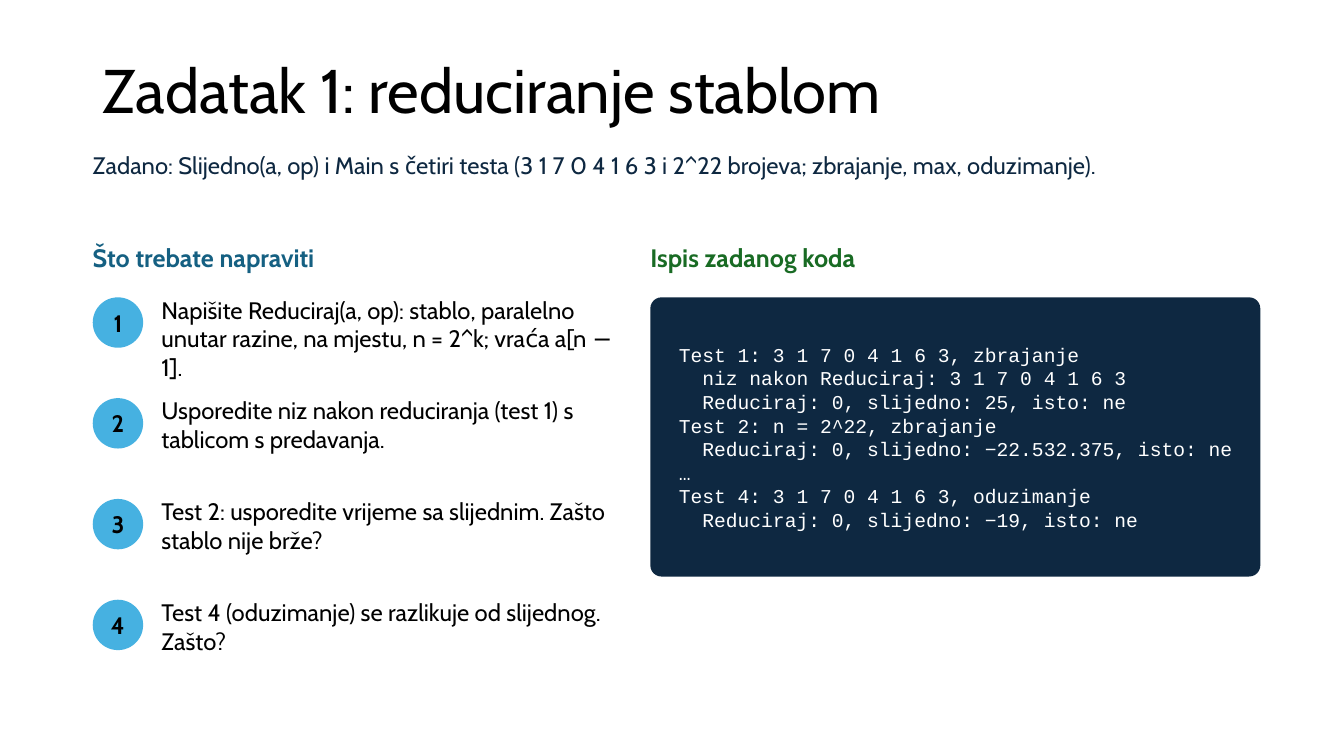
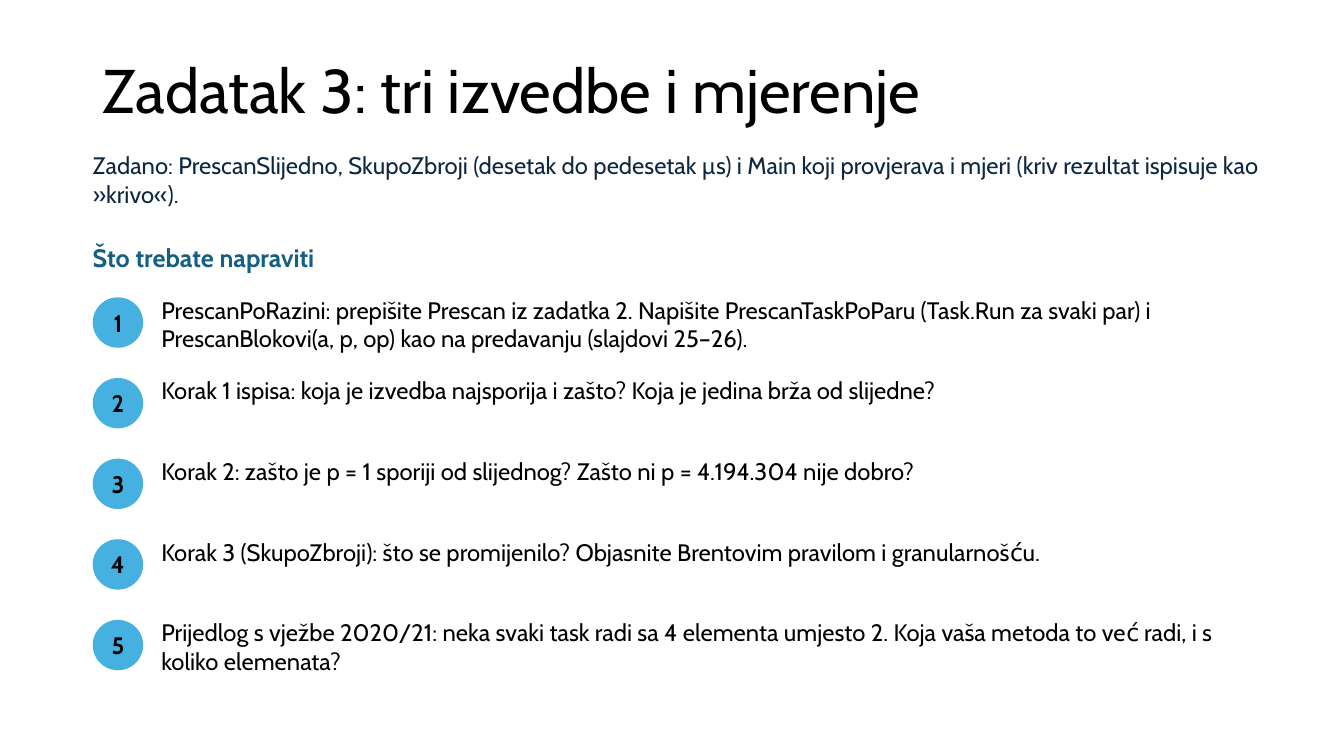
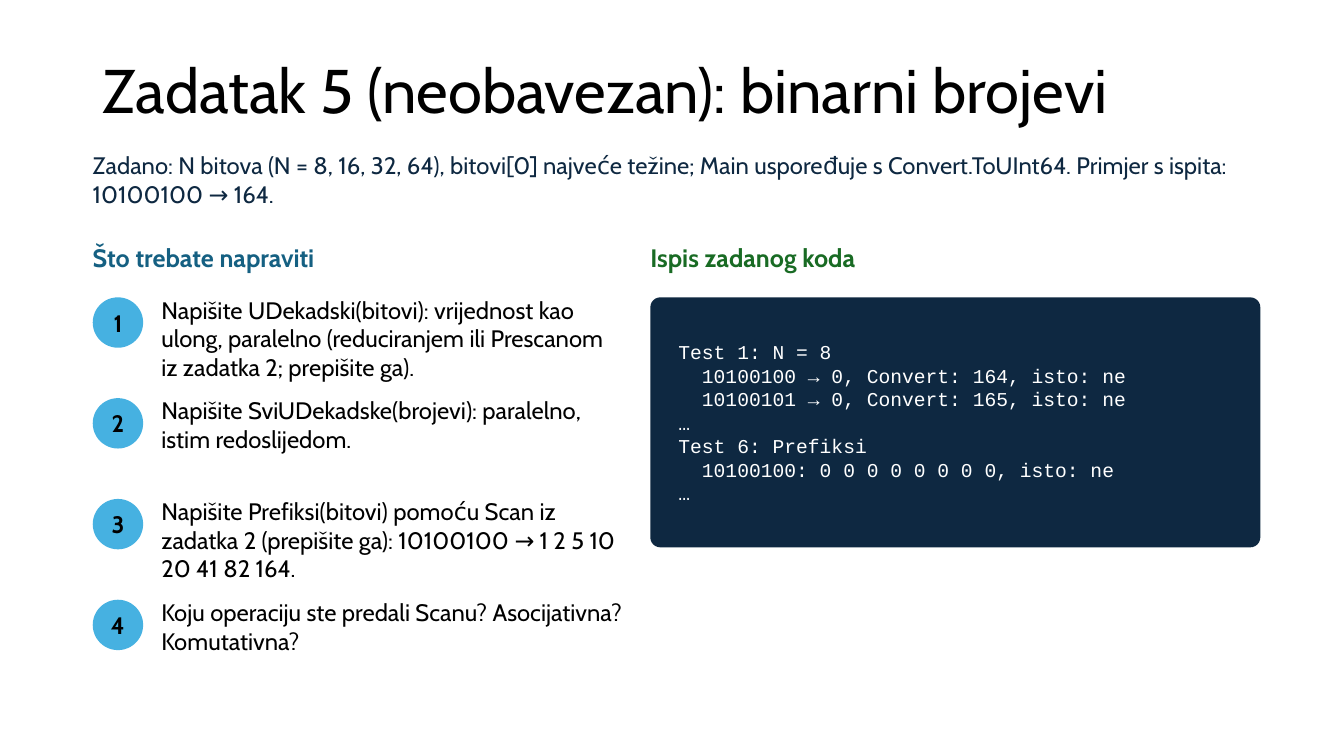
from pptx import Presentation
from pptx.dml.color import RGBColor
from pptx.enum.shapes import MSO_SHAPE
from pptx.enum.text import MSO_ANCHOR, MSO_AUTO_SIZE, PP_ALIGN
from pptx.util import Inches, Pt

NAVY, BLUE, GREEN, SKY = "0E2841", "156082", "196B24", "46B1E1"
BLACK, WHITE = "000000", "FFFFFF"
LEFT, RIGHT, STEP_LEFT, OUTPUT_LEFT = 0.92, 12.5, 1.6, 6.45
HEADING_TOP, BODY_TOP = 2.4, 2.95

TASKS = [
    {
        "title": "Zadatak 1: reduciranje stablom",
        "given": "Zadano: Slijedno(a, op) i Main s četiri testa (3 1 7 0 4 1 6 3 i 2^22 brojeva; "
                 "zbrajanje, max, oduzimanje).",
        "steps": [
            "Napišite Reduciraj(a, op): stablo, paralelno unutar razine, na mjestu, n = 2^k; "
            "vraća a[n − 1].",
            "Usporedite niz nakon reduciranja (test 1) s tablicom s predavanja.",
            "Test 2: usporedite vrijeme sa slijednim. Zašto stablo nije brže?",
            "Test 4 (oduzimanje) se razlikuje od slijednog. Zašto?",
        ],
        "output": [
            "Test 1: 3 1 7 0 4 1 6 3, zbrajanje",
            "  niz nakon Reduciraj: 3 1 7 0 4 1 6 3",
            "  Reduciraj: 0, slijedno: 25, isto: ne",
            "Test 2: n = 2^22, zbrajanje",
            "  Reduciraj: 0, slijedno: −22.532.375, isto: ne",
            "…",
            "Test 4: 3 1 7 0 4 1 6 3, oduzimanje",
            "  Reduciraj: 0, slijedno: −19, isto: ne",
        ],
    },
    {
        "title": "Zadatak 3: tri izvedbe i mjerenje",
        "given": "Zadano: PrescanSlijedno, SkupoZbroji (desetak do pedesetak µs) i Main koji "
                 "provjerava i mjeri (kriv rezultat ispisuje kao »krivo«).",
        "steps": [
            "PrescanPoRazini: prepišite Prescan iz zadatka 2. Napišite PrescanTaskPoParu "
            "(Task.Run za svaki par) i PrescanBlokovi(a, p, op) kao na predavanju "
            "(slajdovi 25–26).",
            "Korak 1 ispisa: koja je izvedba najsporija i zašto? Koja je jedina brža od slijedne?",
            "Korak 2: zašto je p = 1 sporiji od slijednog? Zašto ni p = 4.194.304 nije dobro?",
            "Korak 3 (SkupoZbroji): što se promijenilo? Objasnite Brentovim pravilom i "
            "granularnošću.",
            "Prijedlog s vježbe 2020/21: neka svaki task radi sa 4 elementa umjesto 2. "
            "Koja vaša metoda to već radi, i s koliko elemenata?",
        ],
        "output": [],
    },
    {
        "title": "Zadatak 5 (neobavezan): binarni brojevi",
        "given": "Zadano: N bitova (N = 8, 16, 32, 64), bitovi[0] najveće težine; Main uspoređuje "
                 "s Convert.ToUInt64. Primjer s ispita: 10100100 → 164.",
        "steps": [
            "Napišite UDekadski(bitovi): vrijednost kao ulong, paralelno (reduciranjem ili "
            "Prescanom iz zadatka 2; prepišite ga).",
            "Napišite SviUDekadske(brojevi): paralelno, istim redoslijedom.",
            "Napišite Prefiksi(bitovi) pomoću Scan iz zadatka 2 (prepišite ga): "
            "10100100 → 1 2 5 10 20 41 82 164.",
            "Koju operaciju ste predali Scanu? Asocijativna? Komutativna?",
        ],
        "output": [
            "Test 1: N = 8",
            "  10100100 → 0, Convert: 164, isto: ne",
            "  10100101 → 0, Convert: 165, isto: ne",
            "…",
            "Test 6: Prefiksi",
            "  10100100: 0 0 0 0 0 0 0 0, isto: ne",
            "…",
        ],
    },
]


def rgb(value):
    return RGBColor.from_string(value)


class TaskDeck:
    """Holds the deck style and draws the parts of a task on the current slide."""

    def __init__(self):
        self.deck = Presentation()
        self.deck.slide_width, self.deck.slide_height = Inches(13.33), Inches(7.5)
        self.slide = None

    def fill_frame(self, frame, lines, size, color, insets, font="Cabin", bold=False,
                   align=PP_ALIGN.LEFT, spacing=1.0, **frame_format):
        sides = ("margin_left", "margin_top", "margin_right", "margin_bottom")
        settings = {"word_wrap": True, **frame_format}
        settings.update(zip(sides, map(Inches, insets)))
        for name, value in settings.items():
            setattr(frame, name, value)
        for index, line in enumerate(lines):
            paragraph = frame.add_paragraph() if index else frame.paragraphs[0]
            paragraph.alignment, paragraph.line_spacing = align, spacing
            run = paragraph.add_run()
            run.text = line
            for name, value in {"name": font, "size": Pt(size), "bold": bold}.items():
                setattr(run.font, name, value)
            run.font.color.rgb = rgb(color)

    def text(self, box, line, size, color, insets=(0, 0, 0, 0), **text_format):
        frame = self.slide.shapes.add_textbox(*map(Inches, box)).text_frame
        self.fill_frame(frame, [line], size, color, insets, **text_format)

    def shape(self, kind, box, fill):
        shape = self.slide.shapes.add_shape(kind, *map(Inches, box))
        shape.shadow.inherit = False
        shape.fill.solid()
        shape.fill.fore_color.rgb = rgb(fill)
        shape.line.fill.background()
        return shape

    def title(self, line):
        self.text((LEFT, 0.4, 11.5, 1.06), line, 44, BLACK, (0.1, 0.05, 0.1, 0.05),
                  spacing=0.9, vertical_anchor=MSO_ANCHOR.MIDDLE)

    def prose(self, box, line, size, color, bold=False):
        self.text(box, line, size, color, bold=bold,
                  auto_size=MSO_AUTO_SIZE.SHAPE_TO_FIT_TEXT)

    def heading(self, left, width, line, color):
        self.prose((left, HEADING_TOP, width, 0.4), line, 18, color, bold=True)

    def steps(self, lines, width, pitch):
        for index, line in enumerate(lines):
            top = BODY_TOP + index * pitch
            badge = self.shape(MSO_SHAPE.OVAL, (LEFT, top, 0.5, 0.5), SKY)
            self.fill_frame(badge.text_frame, [str(index + 1)], 17, BLACK,
                            (0.05, 0.02, 0.05, 0.02), bold=True, align=PP_ALIGN.CENTER,
                            vertical_anchor=MSO_ANCHOR.MIDDLE)
            self.prose((STEP_LEFT, top - 0.02, width, pitch), line, 17, BLACK)

    def output(self, lines):
        width = RIGHT - OUTPUT_LEFT
        self.heading(OUTPUT_LEFT, width, "Ispis zadanog koda", GREEN)
        box = (OUTPUT_LEFT, BODY_TOP, width, 0.45 + 0.29 * len(lines))
        panel = self.shape(MSO_SHAPE.ROUNDED_RECTANGLE, box, NAVY)
        panel.adjustments[0] = 0.04
        self.fill_frame(panel.text_frame, lines, 14, WHITE, (0.25, 0.05, 0.1, 0.05),
                        font="Courier New", vertical_anchor=MSO_ANCHOR.MIDDLE)

    def task(self, title, given, steps, output):
        self.slide = self.deck.slides.add_slide(self.deck.slide_layouts[6])
        self.title(title)
        self.prose((LEFT, 1.5, 11.6, 0.5), given, 17, NAVY)
        self.heading(LEFT, 6.6, "Što trebate napraviti", BLUE)
        if output:
            self.steps(steps, 4.6, 1)
            self.output(output)
        else:
            self.steps(steps, RIGHT - STEP_LEFT, 0.8)


def main():
    tasks = TaskDeck()
    for task in TASKS:
        tasks.task(**task)
    tasks.deck.save("out.pptx")


if __name__ == "__main__":
    main()
